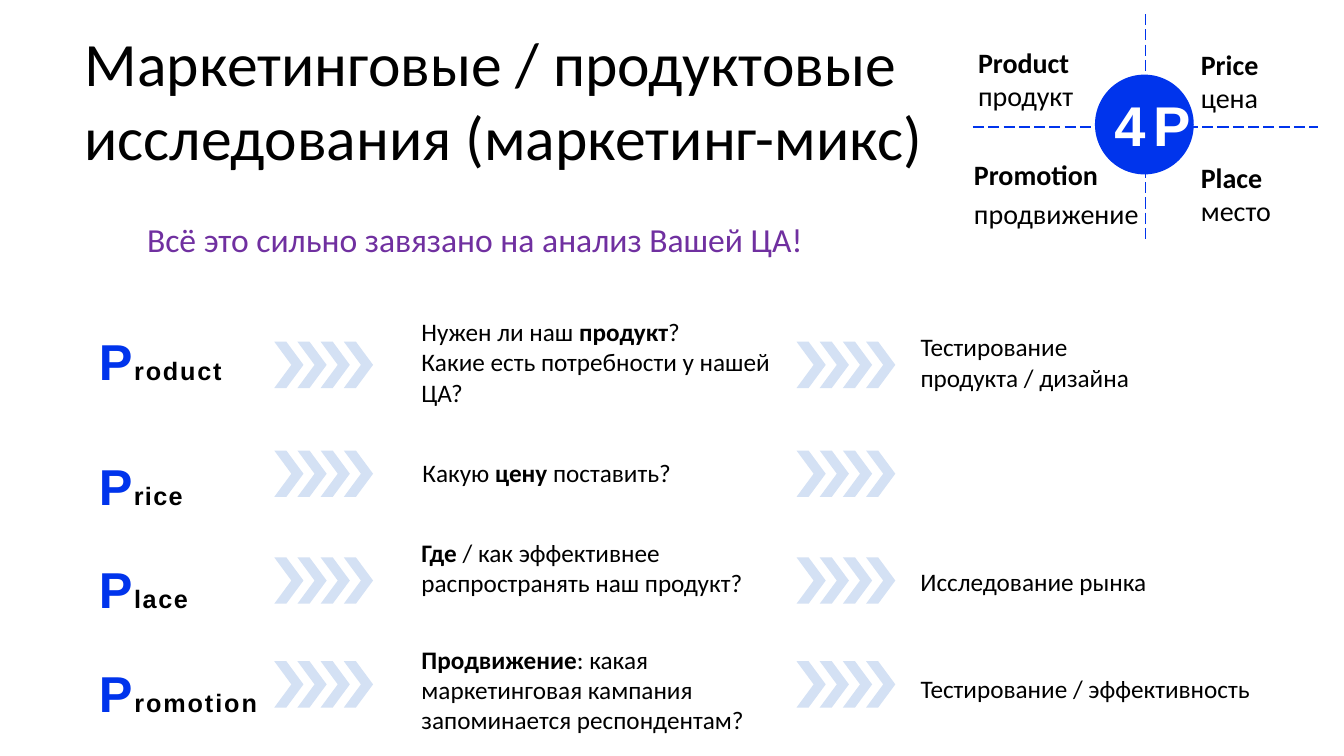
from lxml.etree import SubElement
from pptx import Presentation
from pptx.dml.color import RGBColor
from pptx.enum.dml import MSO_LINE_DASH_STYLE as DASH
from pptx.enum.shapes import MSO_CONNECTOR as CONN, MSO_SHAPE as SHAPE
from pptx.enum.text import MSO_ANCHOR as ANCHOR, MSO_AUTO_SIZE as FIT, PP_ALIGN as ALIGN
from pptx.oxml.ns import qn
from pptx.util import Pt

PX = 9144
BLACK = RGBColor(0x00, 0x00, 0x00)
WHITE = RGBColor(0xFF, 0xFF, 0xFF)
BLUE = RGBColor(0x00, 0x34, 0xEC)
PALE_BLUE = RGBColor(0xD4, 0xE1, 0xF4)
PURPLE = RGBColor(0x70, 0x30, 0xA0)

CHEVRON = [(29, 23), (12, 0), (0, 0), (17, 23), (0, 46), (12, 46)]
CHEVRON_STEP = 23
ARROW_LEFTS = (272, 790)
ARROW_TOPS = (339, 447, 553, 656)
LETTER_WORDS = (("roduct", 1.3), ("rice", 1), ("lace", 1.2), ("romotion", 1.4))

QUESTIONS = [
    (417, 313, 383, 92, 1, [[("Нужен ли наш ", False), ("продукт", True), ("?", False)],
                            [("Какие есть потребности у нашей ЦА?", False)]]),
    (418, 453, 338, 32, 1, [[("Какую ", False), ("цену", True), (" поставить?", False)]]),
    (417, 530, 349, 63, 3, [[("Где", True),
                             (" / как эффективнее распространять наш продукт?", False)]]),
    (417, 636, 349, 93, 3, [[("Продвижение", True),
                             (": какая маркетинговая кампания запоминается респондентам?", False)]]),
]
METHODS = [
    (912, 326, 308, 63, 3, [[("Тестирование\nпродукта / дизайна", False)]]),
    (912, 561, 274, 32, 1, [[("Исследование рынка", False)]]),
    (912, 667, 342, 32, 1, [[("Тестирование / эффективность", False)]]),
]
MIX_LABELS = [
    (969, 37, 121, 76, 8, [[("Product\n", True), ("продукт", False)]]),
    (1190, 39, 99, 76, 8, [[("Price\n", True), ("цена", False)]]),
    (965, 148, 168, 81, 8, [[("Promotion", True)], [("продвижение", False)]]),
    (1190, 151, 109, 76, 8, [[("Place\n", True), ("место", False)]]),
]


def add_run(p, text, size=18, font="Calibri", color=BLACK, bold=False, spacing=0):
    for i, line in enumerate(text.split("\n")):
        if i:
            p.add_line_break()
        if line:
            r = p.add_run()
            r.text = line
            r.font.size = Pt(size)
            r.font.name = font
            r.font.color.rgb = color
            r.font.bold = bold
            if spacing:
                r.font._element.set("spc", str(round(spacing * 100)))


def place(sp, left, top, width, height):
    sp.left, sp.top, sp.width, sp.height = (v * PX for v in (left, top, width, height))


def set_frame(tf, left=1, top=1, right=0, bottom=0):
    tf.word_wrap = True
    tf.auto_size = FIT.SHAPE_TO_FIT_TEXT
    tf.margin_left, tf.margin_top = left * PX, top * PX
    tf.margin_right, tf.margin_bottom = right * PX, bottom * PX


def add_box(s, left, top, width, height, inset=1):
    sp = s.shapes.add_textbox(0, 0, 0, 0)
    place(sp, left, top, width, height)
    set_frame(sp.text_frame, top=inset)
    return sp.text_frame


def add_text(s, left, top, width, height, inset, paragraphs, size=18, gap=0):
    tf = add_box(s, left, top, width, height, inset)
    for i, runs in enumerate(paragraphs):
        p = tf.add_paragraph() if i else tf.paragraphs[0]
        if i and gap:
            p.space_before = Pt(gap)
        for text, bold in runs:
            add_run(p, text, size=size, bold=bold)


def set_title(s):
    title = s.shapes.title
    place(title, 83, 23, 866, 150)
    tf = title.text_frame
    set_frame(tf)
    tf.vertical_anchor = ANCHOR.MIDDLE
    p = tf.paragraphs[0]
    p.alignment = ALIGN.LEFT
    add_run(p, "Маркетинговые / продуктовые\nисследования (маркетинг-микс)", size=44)


def add_chevrons(s, left, top):
    fb = s.shapes.build_freeform(CHEVRON[0][0], CHEVRON[0][1], scale=PX)
    for i in range(4):
        points = [(x + i * CHEVRON_STEP, y) for x, y in CHEVRON]
        if i:
            fb.move_to(*points[0])
        fb.add_line_segments(points[1:], close=True)
    sp = fb.convert_to_shape(left * PX, top * PX)
    sp.shadow.inherit = False
    sp.fill.solid()
    sp.fill.fore_color.rgb = PALE_BLUE
    sp.line.fill.background()


def add_dashed_line(s, *ends):
    line = s.shapes.add_connector(CONN.STRAIGHT, *(v * PX for v in ends))
    line.line.color.rgb = BLUE
    line.line.width = Pt(1)
    line.line.dash_style = DASH.LONG_DASH
    SubElement(line._element.spPr, qn("a:effectLst"))


def add_circle(s, *box):
    sp = s.shapes.add_shape(SHAPE.OVAL, *(v * PX for v in box))
    sp.shadow.inherit = False
    sp.fill.solid()
    sp.fill.fore_color.rgb = BLUE
    sp.line.fill.background()


def add_letter_words(s):
    tf = add_box(s, 97, 327, 163, 386)
    for i, (word, spacing) in enumerate(LETTER_WORDS):
        p = tf.add_paragraph() if i else tf.paragraphs[0]
        if i:
            p.line_spacing = 1.71
        if i == 1:
            p.space_before = Pt(15)
        add_run(p, "P", size=36, font="Arial", color=BLUE, bold=True, spacing=spacing)
        add_run(p, word, font="Arial", bold=True, spacing=spacing)


def add_mix_diagram(s):
    add_dashed_line(s, 1136, 14, 1136, 238)
    add_dashed_line(s, 965, 126, 1307, 126)
    add_circle(s, 1086, 74, 98, 99)
    for label in MIX_LABELS:
        add_text(s, *label, size=20, gap=4)
    p = add_box(s, 1095, 89, 95, 69).paragraphs[0]
    p.alignment = ALIGN.CENTER
    add_run(p, "4Р", size=40, font="Arial", color=WHITE, bold=True, spacing=5.6)


def main():
    prs = Presentation()
    prs.slide_width, prs.slide_height = 1333 * PX, 750 * PX
    s = prs.slides.add_slide(prs.slide_layouts[5])
    set_title(s)
    add_letter_words(s)
    for left in ARROW_LEFTS:
        for top in ARROW_TOPS:
            add_chevrons(s, left, top)
    for entry in QUESTIONS + METHODS:
        add_text(s, *entry)
    add_mix_diagram(s)
    tf = add_box(s, 136, 212, 731, 50)
    set_frame(tf, 10, 5, 10, 5)
    add_run(tf.paragraphs[0], "Всё это сильно завязано на анализ Вашей ЦА!", size=24, color=PURPLE)
    prs.save("out.pptx")


if __name__ == "__main__":
    main()
